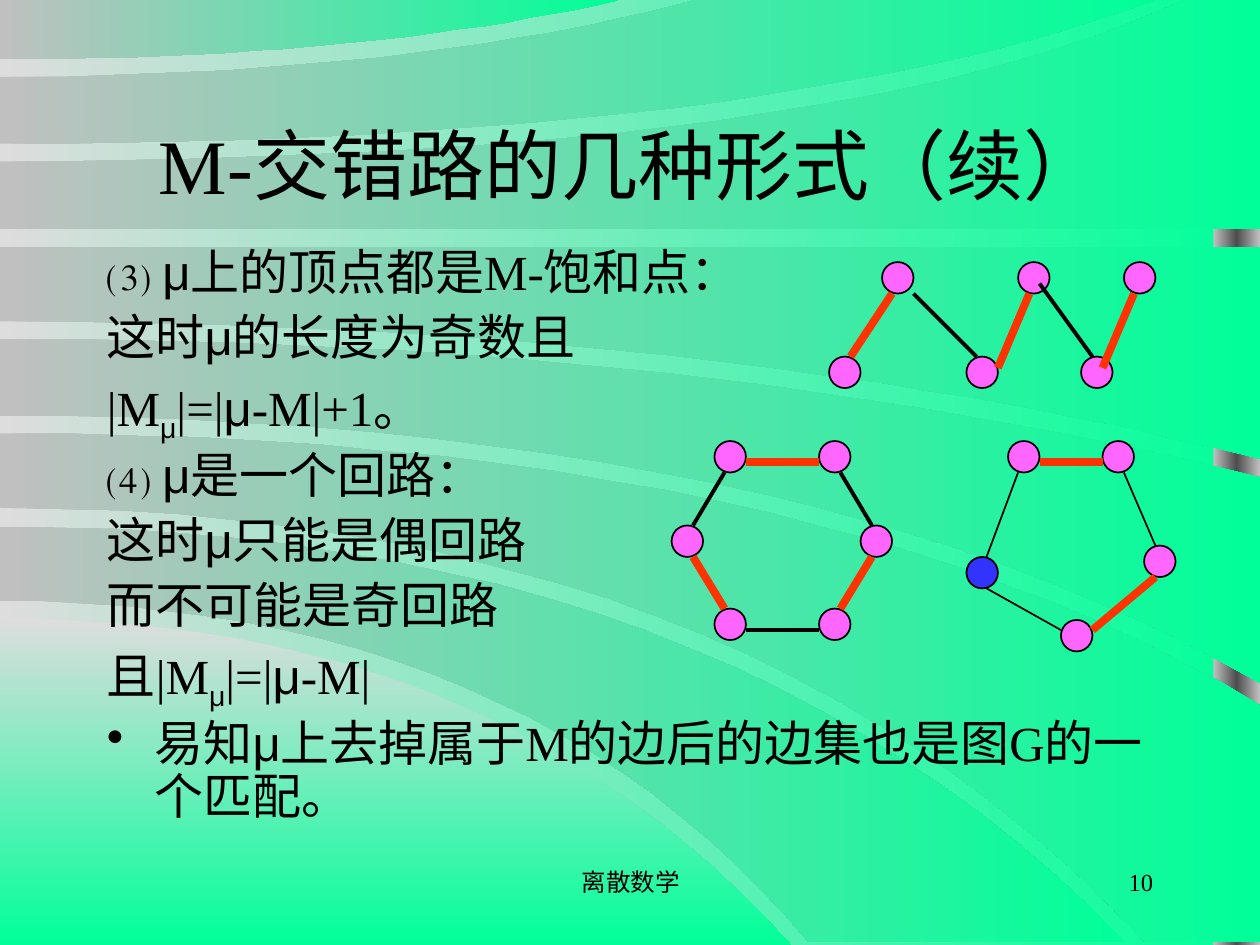
"""Build the slide on the forms of M-alternating paths."""
from copy import deepcopy

from lxml import etree
from pptx import Presentation
from pptx.dml.color import RGBColor
from pptx.enum.shapes import MSO_CONNECTOR, MSO_SHAPE
from pptx.enum.text import MSO_ANCHOR, PP_ALIGN
from pptx.oxml.ns import qn
from pptx.util import Pt

SCALE = 9144
WIDTH, HEIGHT = 1000, 750
STRAIGHT = MSO_CONNECTOR.STRAIGHT
OVAL, RECTANGLE = MSO_SHAPE.OVAL, MSO_SHAPE.RECTANGLE
TOP, MIDDLE = MSO_ANCHOR.TOP, MSO_ANCHOR.MIDDLE
LEFT, CENTER, RIGHT = PP_ALIGN.LEFT, PP_ALIGN.CENTER, PP_ALIGN.RIGHT
BLACK = RGBColor(0x00, 0x00, 0x00)
PINK = RGBColor(0xFF, 0x66, 0xFF)
BLUE = RGBColor(0x33, 0x33, 0xFF)
RED = RGBColor(0xFF, 0x33, 0x00)
GREEN = RGBColor(0x00, 0xFF, 0x99)
PALE = RGBColor(0xDD, 0xDD, 0xDD)
SILVER = RGBColor(0xC0, 0xC0, 0xC0)
DARK = RGBColor(0x4D, 0x4D, 0x4D)
TEXT_FONT, GREEK_FONT = "Times New Roman", "Arial"
NODE = 25
HANG = 38
ARC_STEPS = 24
MATCHED, FREE, THIN = (RED, 4.5), (BLACK, 2.25), (BLACK, 1)

HILL = ((491, 396, 628, 750), (750, 314, 628, 750))
BANDS = [
    ((418, 576, 893, 748), (477, 415, 642, 748)),
    ((344, 640, 1000, 560), (403, 588, 909, 748)),
    ((269, 554, 1000, 379), (330, 630, 1000, 542)),
    ((196, 500, 1000, 196), (255, 564, 1000, 364)),
    ((182, 500, 1000, 182), (128, 668, 940, 0)),
    ((114, 608, 917, 0), (61, 324, 552, 0)),
    ((47, 285, 491, 0), (0, 245, 491, 0)),
]

LINES = [
    ["⑶ ", "μ", "上的顶点都是M-饱和点："],
    ["这时", "μ", "的长度为奇数且"],
    ["|M", "_μ", "|=|", "μ", "-M|+1。"],
    ["⑷ ", "μ", "是一个回路："],
    ["这时", "μ", "只能是偶回路"],
    ["而不可能是奇回路"],
    ["且|M", "_μ", "|=|", "μ", "-M|"],
    ["易知", "μ", "上去掉属于M的边后的边集也是图G的一个匹配。"],
]

ZIGZAG = (
    [(700, 208), (658, 283), (767, 283), (808, 208), (858, 283), (892, 208)],
    [(708, 233, 675, 283, MATCHED), (725, 233, 775, 283, FREE),
     (817, 233, 792, 292, MATCHED), (825, 225, 867, 283, FREE),
     (900, 233, 875, 292, MATCHED)],
)
HEXAGON = (
    [(567, 350), (650, 350), (533, 417), (683, 417), (567, 483), (650, 483)],
    [(575, 375, 550, 417, FREE), (592, 367, 650, 367, MATCHED),
     (667, 375, 692, 417, FREE), (692, 442, 667, 483, MATCHED),
     (550, 442, 575, 483, MATCHED), (592, 500, 650, 500, FREE)],
)
PENTAGON = (
    [(800, 350), (875, 350), (767, 442), (908, 433), (842, 492)],
    [(825, 367, 875, 367, MATCHED), (808, 375, 783, 442, THIN),
     (892, 375, 917, 433, THIN), (783, 467, 842, 500, THIN),
     (917, 458, 867, 500, MATCHED)],
)
UNMATCHED = (767, 442)


def arc(start, bend, end_x, end_y):
    """Return points of a curve that leaves the left edge level and bends to its end."""
    points = []
    for step in range(ARC_STEPS + 1):
        t = step / ARC_STEPS
        x = 2 * t * (1 - t) * bend + t * t * end_x
        points.append((x, start + t * t * (end_y - start)))
    return points


class Painter:
    """Hold the style and the current page, and draw each kind of element."""

    def __init__(self, page):
        self.page = page
        self.shapes = page.shapes

    def px(self, *lengths):
        return [length * SCALE for length in lengths]

    def gradient(self, fill, colors, angle=0):
        fill.gradient()
        fill.gradient_angle = angle
        for stop, color in zip(fill.gradient_stops, colors):
            stop.color.rgb = color

    def strip(self, left, top, width, height, edge, middle):
        shape = self.shapes.add_shape(RECTANGLE, *self.px(left, top, width, height))
        shape.shadow.inherit = False
        shape.line.fill.background()
        self.gradient(shape.fill, (edge, edge))
        stops = shape.element.find(".//" + qn("a:gsLst"))
        stops.insert(1, deepcopy(stops[0]))
        center = shape.fill.gradient_stops[1]
        center.color.rgb = middle
        center.position = 0.5

    def band(self, near, far, colors, angle=0):
        near_side, far_side = arc(*near), arc(*far)
        corner = (max(near[2], far[2]), far[3])
        points = near_side + [corner] + far_side[::-1]
        builder = self.shapes.build_freeform(*points[0], scale=SCALE)
        builder.add_line_segments(points[1:], close=True)
        shape = builder.convert_to_shape()
        shape.shadow.inherit = False
        shape.line.fill.background()
        self.gradient(shape.fill, colors, angle)

    def style(self, para, size, align=LEFT):
        para.alignment = align
        para.font.size = Pt(size)
        para.font.name = TEXT_FONT
        para.font.color.rgb = BLACK

    def frame(self, left, top, width, height, anchor=TOP):
        box = self.shapes.add_textbox(*self.px(left, top, width, height))
        box.text_frame.word_wrap = True
        box.text_frame.vertical_anchor = anchor
        return box.text_frame

    def label(self, text, area, size, align, anchor=TOP):
        para = self.frame(*area, anchor).paragraphs[0]
        para.text = text
        self.style(para, size, align)

    def body(self, lines, area, size):
        frame = self.frame(*area)
        for index, pieces in enumerate(lines):
            para = frame.add_paragraph() if index else frame.paragraphs[0]
            para.line_spacing = 0.9
            para.space_before = Pt(7)
            properties = para._p.get_or_add_pPr()
            properties.set("marL", str(HANG * SCALE))
            properties.set("indent", str(-HANG * SCALE))
            if pieces is lines[-1]:
                etree.SubElement(properties, qn("a:buChar"), char="•")
            self.style(para, size)
            for piece in pieces:
                span = para.add_run()
                span.text = piece.lstrip("_")
                span.font.name = GREEK_FONT if piece.endswith("μ") else TEXT_FONT
                if piece.startswith("_"):
                    span._r.get_or_add_rPr().set("baseline", "-25000")

    def node(self, left, top, color):
        shape = self.shapes.add_shape(OVAL, *self.px(left, top, NODE, NODE))
        shape.shadow.inherit = False
        shape.fill.solid()
        shape.fill.fore_color.rgb = color
        shape.line.color.rgb = BLACK
        shape.line.width = Pt(1)

    def edge(self, x1, y1, x2, y2, stroke):
        line = self.shapes.add_connector(STRAIGHT, *self.px(x1, y1, x2, y2))
        line.line.color.rgb, line.line.width = stroke[0], Pt(stroke[1])
        etree.SubElement(line.element.spPr, qn("a:effectLst"))

    def graph(self, nodes, edges):
        for spot in nodes:
            self.node(*spot, BLUE if spot == UNMATCHED else PINK)
        for edge in edges:
            self.edge(*edge)


def main():
    deck = Presentation()
    deck.slide_width, deck.slide_height = WIDTH * SCALE, HEIGHT * SCALE
    page = deck.slides.add_slide(deck.slide_layouts[6])
    painter = Painter(page)
    painter.gradient(page.background.fill, (PALE, GREEN))
    painter.strip(963, 0, 37, HEIGHT, SILVER, DARK)
    painter.band(*HILL, (PALE, GREEN), 270)
    for band in BANDS:
        painter.band(*band, (SILVER, GREEN))
    painter.label("离散数学", (342, 683, 317, 50), 14, CENTER)
    painter.label("10", (717, 683, 208, 50), 14, RIGHT)
    painter.label("M-交错路的几种形式（续）", (75, 67, 850, 125), 44, CENTER, MIDDLE)
    painter.body(LINES, (75, 192, 850, 475), 28)
    for graph in (ZIGZAG, HEXAGON, PENTAGON):
        painter.graph(*graph)
    deck.save("out.pptx")


if __name__ == "__main__":
    main()
